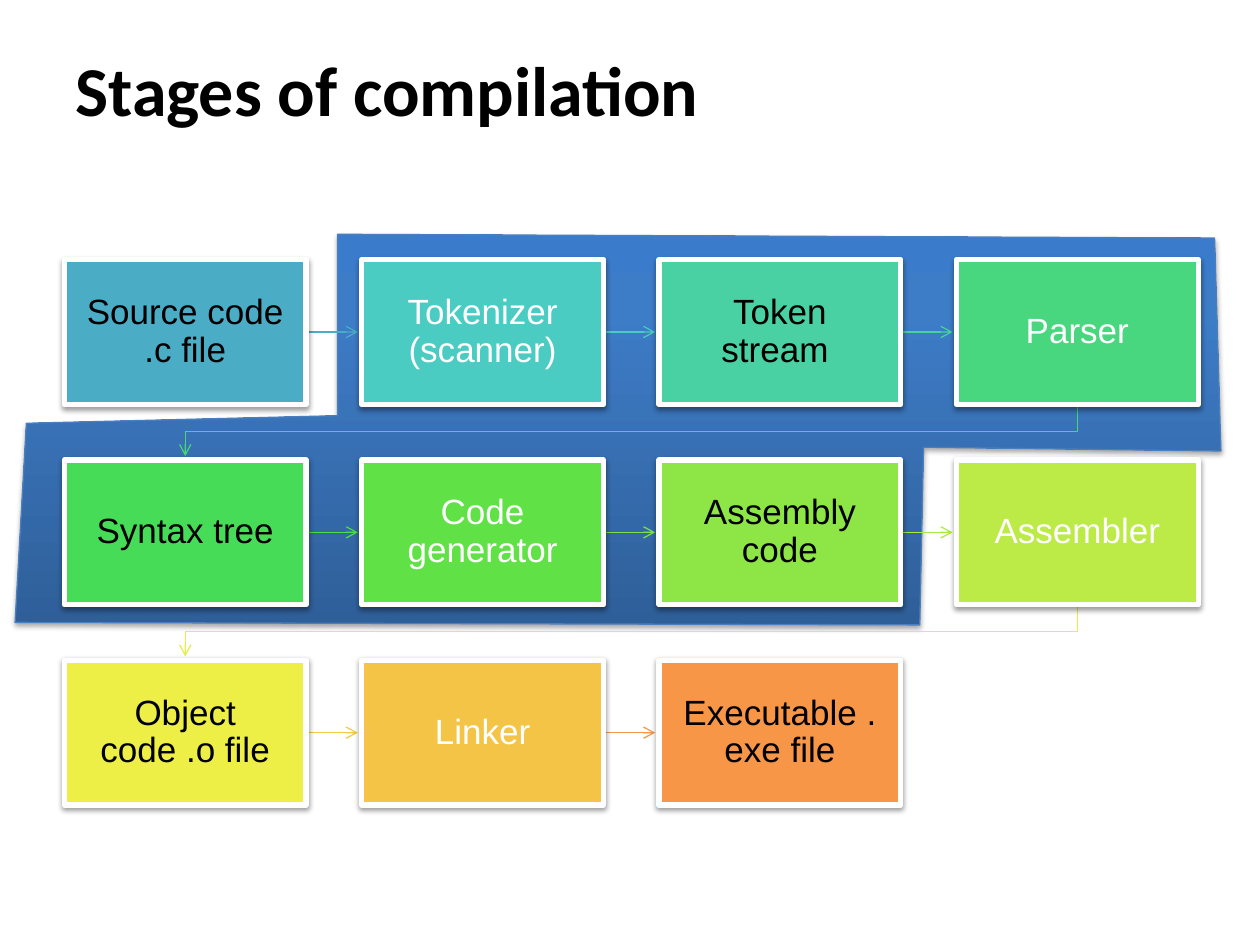
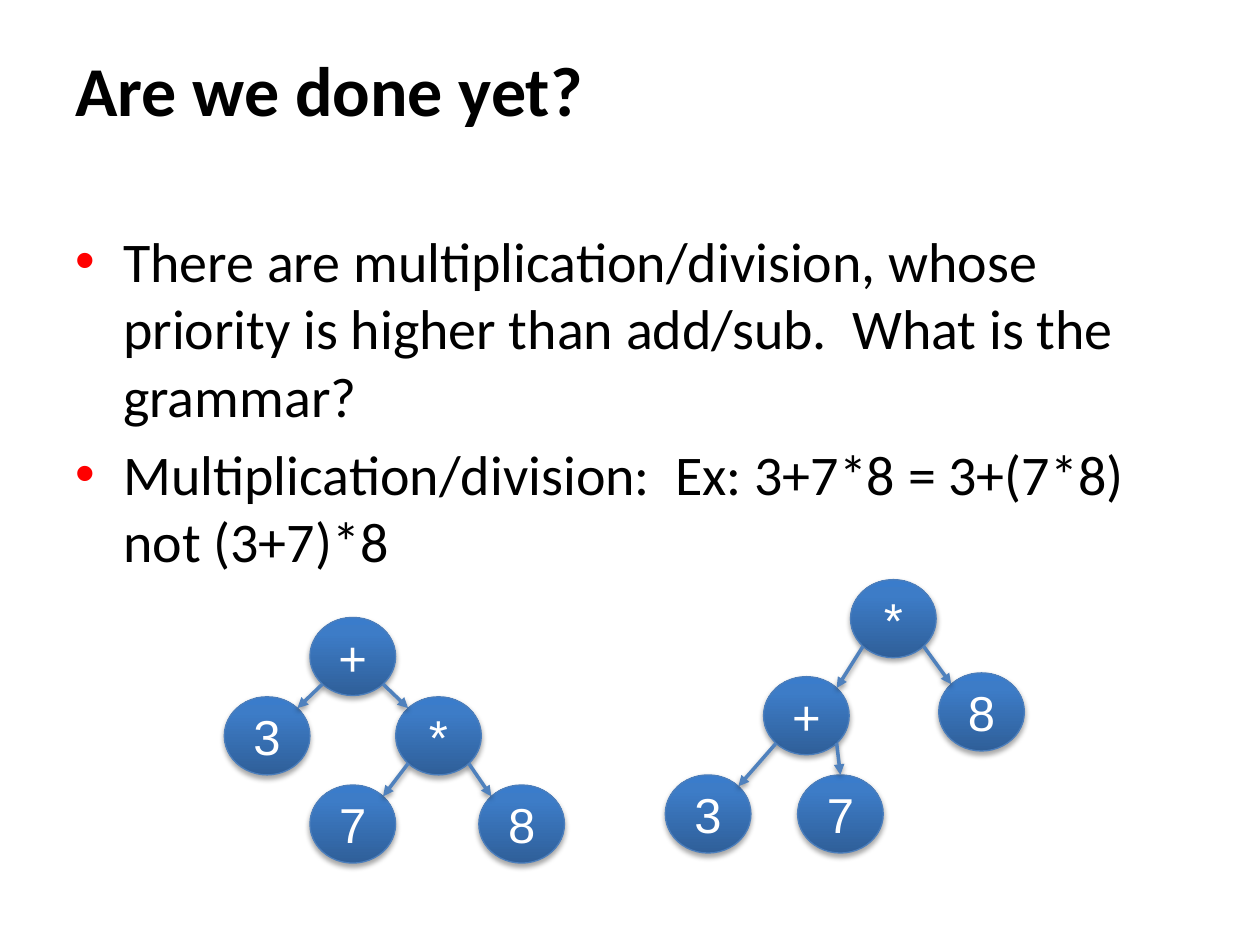
import copy
import dataclasses
import math

import lxml.etree
import pptx
import pptx.dml.color
import pptx.enum.dml
import pptx.enum.shapes
import pptx.enum.text
import pptx.oxml.ns
import pptx.util

Inches = pptx.util.Inches
Pt = pptx.util.Pt
qn = pptx.oxml.ns.qn
ALIGN = pptx.enum.text.PP_ALIGN
ANCHOR = pptx.enum.text.MSO_ANCHOR
SHAPE = pptx.enum.shapes.MSO_SHAPE
CONNECTOR = pptx.enum.shapes.MSO_CONNECTOR


@dataclasses.dataclass(frozen=True)
class Theme:
    black: str = "000000"
    white: str = "FFFFFF"
    bullet: str = "FF0000"
    gradient: tuple = ((0, "2F5F99"), (0.8, "3D7CC7"), (1, "3A7CCB"))
    outline: str = "4B7EBC"
    edge: str = "4F81BD"
    thin: float = 0.75
    title: tuple = (("name", "Calibri"), ("size", Pt(40)), ("bold", True))
    body: tuple = (("name", "Calibri"), ("size", Pt(32)))
    stage: tuple = (("name", "Arial"), ("size", Pt(20)))
    node: tuple = (("name", "Arial"), ("size", Pt(28)))
    panel_shadow: tuple = (35, 3.1, 1.8)
    box_shadow: tuple = (38, 3.1, 1.6)


THEME = Theme()

# Text, box colour, colour of the arrow that leaves the box
STAGES = [
    ("Source code .c file", "4BACC6", "4BACC6"),
    ("Tokenizer\n(scanner)", "4ACCC3", "4ACCC0"),
    ("Token stream ", "49D1A3", "48D29B"),
    ("Parser", "48D77E", "47D872"),
    ("Syntax tree", "47DC57", "49DE47"),
    ("Code generator", "60E146", "79E346"),
    ("Assembly code", "8DE646", "ACE946"),
    ("Assembler", "BCEA46", "E3EE46"),
    ("Object code .o file", "EEEF46", "F2C946"),
    ("Linker", "F3C446", "F79646"),
    ("Executable .exe file", "F79646", None),
]
COMPILER_OUTLINE = [(2.56, 0), (9.52, 0.03), (9.57, 1.72), (7.21, 1.69),
                    (7.18, 3.1), (0, 3.08), (0.09, 1.5), (2.56, 1.44)]
BULLETS = [
    "There are multiplication/division, whose priority is higher than "
    "add/sub.  What is the grammar?",
    "Multiplication/division:  Ex: 3+7*8 = 3+(7*8)\nnot (3+7)*8",
]
# Label, left, top, index of the parent node
PRODUCT_FIRST = [("+", 0.68, 0, None), ("3", 0, 0.63, 0), ("*", 1.36, 0.63, 0),
                 ("7", 0.68, 1.33, 2), ("8", 2.02, 1.33, 2)]
SUM_FIRST = [("*", 1.47, 0, None), ("+", 0.78, 0.77, 0), ("8", 2.17, 0.74, 0),
             ("3", 0, 1.55, 1), ("7", 1.05, 1.55, 1)]


def rgb(value):
    return pptx.dml.color.RGBColor.from_string(value)


def set_values(target, values):
    for name, value in dict(values).items():
        setattr(target, name, value)


def write(para, text, font, color):
    para.text = text
    for span in para.runs:
        set_values(span.font, font)
        span.font.color.rgb = rgb(color)


def set_line(item, color, width):
    item.line.color.rgb = rgb(color)
    item.line.width = Pt(width)


def add_arrowhead(item, kind):
    lxml.etree.SubElement(item.line._get_or_add_ln(), qn("a:tailEnd"), type=kind)


def set_shadow(item, shadow=None):
    """Replace the inherited effects with a downward shadow, or with none."""
    properties = item._element.spPr
    effects = properties.find(qn("a:effectLst"))
    if effects is None:
        effects = lxml.etree.SubElement(properties, qn("a:effectLst"))
    if shadow:
        opacity, blur, distance = shadow
        outer = lxml.etree.SubElement(
            effects, qn("a:outerShdw"), blurRad=str(Pt(blur)),
            dist=str(Pt(distance)), dir="5400000", rotWithShape="0")
        color = lxml.etree.SubElement(outer, qn("a:srgbClr"), val=THEME.black)
        lxml.etree.SubElement(color, qn("a:alpha"), val=str(opacity * 1000))


def style_panel(shape):
    """Give a shape the blue gradient, outline and shadow."""
    shape.fill.gradient()
    shape.fill.gradient_angle = 90
    stop_list = shape._element.spPr.find(".//" + qn("a:gsLst"))
    stop_list.append(copy.deepcopy(stop_list[-1]))
    for stop, (position, color) in zip(shape.fill.gradient_stops, THEME.gradient):
        stop.position = position
        stop.color.rgb = rgb(color)
    set_line(shape, THEME.outline, THEME.thin)
    set_shadow(shape, THEME.panel_shadow)


def add_outline(page, points, close):
    corners = [(Inches(x), Inches(y)) for x, y in points]
    builder = page.shapes.build_freeform(*corners[0])
    builder.add_line_segments(corners[1:], close=close)
    return builder.convert_to_shape()


def add_straight(page, start, end):
    return page.shapes.add_connector(
        CONNECTOR.STRAIGHT, *(Inches(value) for value in (*start, *end)))


def add_text_box(page, box, anchor):
    frame = page.shapes.add_textbox(*map(Inches, box)).text_frame
    set_values(frame, {"word_wrap": True, "vertical_anchor": anchor})
    return frame


def add_title(page, text):
    frame = add_text_box(page, (0.5, 0.08, 9.08, 1.25), ANCHOR.MIDDLE)
    write(frame.paragraphs[0], text, THEME.title, THEME.black)


def add_bullets(page, box, items):
    frame = add_text_box(page, box, ANCHOR.TOP)
    for index, text in enumerate(items):
        para = frame.add_paragraph() if index else frame.paragraphs[0]
        write(para, text, THEME.body, THEME.black)
        para.space_before = Pt(6.4)
        properties = para._p.get_or_add_pPr()
        properties.set("marL", str(Inches(0.38)))
        properties.set("indent", str(Inches(-0.38)))
        color = lxml.etree.SubElement(properties, qn("a:buClr"))
        lxml.etree.SubElement(color, qn("a:srgbClr"), val=THEME.bullet)
        lxml.etree.SubElement(properties, qn("a:buFont"), typeface="Arial")
        lxml.etree.SubElement(properties, qn("a:buChar"), char="•")


def add_compiler_area(page, left, top):
    points = [(left + x, top + y) for x, y in COMPILER_OUTLINE]
    style_panel(add_outline(page, points, close=True))


def add_stage(page, box, text, fill, text_color):
    shape = page.shapes.add_shape(SHAPE.RECTANGLE, *map(Inches, box))
    shape.fill.solid()
    shape.fill.fore_color.rgb = rgb(fill)
    set_line(shape, THEME.white, 3)
    set_shadow(shape, THEME.box_shadow)
    frame = shape.text_frame
    sides = ("left", "top", "right", "bottom")
    set_values(frame, {f"margin_{side}": Inches(0.16) for side in sides})
    set_values(frame, {"word_wrap": True, "vertical_anchor": ANCHOR.MIDDLE})
    para = frame.paragraphs[0]
    set_values(para, {"alignment": ALIGN.CENTER, "line_spacing": 0.9})
    write(para, text, THEME.stage, text_color)


def add_stage_flow(page, left, top):
    """Lay the stages out in rows of four, joined in reading order."""
    columns, width, height = 4, 1.92, 1.15
    column_step, row_step, reach = 2.36, 1.59, 0.41
    for index, (text, fill, arrow_color) in enumerate(STAGES):
        row, column = divmod(index, columns)
        x, y = left + column * column_step, top + row * row_step
        if arrow_color:
            if column < columns - 1:
                start = (x + width, y + height / 2)
                arrow = add_straight(page, start, (start[0] + reach, start[1]))
            else:
                first, last, bottom = left + width / 2, x + width / 2, y + height
                turn = bottom + reach / 2 + 0.01
                arrow = add_outline(page, [(last, bottom), (last, turn), (first, turn),
                                           (first, bottom + reach)], close=False)
                arrow.fill.background()
            set_line(arrow, arrow_color, THEME.thin)
            add_arrowhead(arrow, "arrow")
            set_shadow(arrow)
        text_color = THEME.white if index % 2 else THEME.black
        add_stage(page, (x, y, width, height), text, fill, text_color)


def add_tree(page, left, top, nodes):
    """Draw an expression tree whose edges meet the nodes on their diagonals."""
    width, height = 0.68, 0.62
    reach_x, reach_y = (size / 2 * math.sqrt(0.5) for size in (width, height))
    centers = [(left + x + width / 2, top + y + height / 2) for _, x, y, _ in nodes]
    for label, x, y, _ in nodes:
        box = (left + x, top + y, width, height)
        shape = page.shapes.add_shape(SHAPE.OVAL, *map(Inches, box))
        style_panel(shape)
        shape.text_frame.vertical_anchor = ANCHOR.MIDDLE
        para = shape.text_frame.paragraphs[0]
        para.alignment = ALIGN.CENTER
        write(para, label, THEME.node, THEME.white)
    for (x, y), (_, _, _, parent) in zip(centers, nodes):
        if parent is None:
            continue
        parent_x, parent_y = centers[parent]
        side = math.copysign(1, x - parent_x)
        start = (parent_x + side * reach_x, parent_y + reach_y)
        if abs(x - parent_x) < width / 2:
            end = (x, y - height / 2)
        else:
            end = (x - side * reach_x, y - reach_y)
        edge = add_straight(page, start, end)
        set_line(edge, THEME.edge, 2)
        add_arrowhead(edge, "triangle")
        set_shadow(edge, THEME.box_shadow)


def build_stages_page(page):
    add_compiler_area(page, 0.12, 1.86)
    add_stage_flow(page, 0.51, 2.06)
    add_title(page, "Stages of compilation")


def build_priority_page(page):
    add_bullets(page, (0.5, 1.75, 9.08, 4.5), BULLETS)
    add_title(page, "Are we done yet?")
    add_tree(page, 1.78, 4.9, PRODUCT_FIRST)
    add_tree(page, 5.28, 4.6, SUM_FIRST)


def main():
    deck = pptx.Presentation()
    set_values(deck, {"slide_width": Inches(10), "slide_height": Inches(7.5)})
    for build_page in (build_stages_page, build_priority_page):
        build_page(deck.slides.add_slide(deck.slide_layouts[6]))
    deck.save("out.pptx")


if __name__ == "__main__":
    main()
